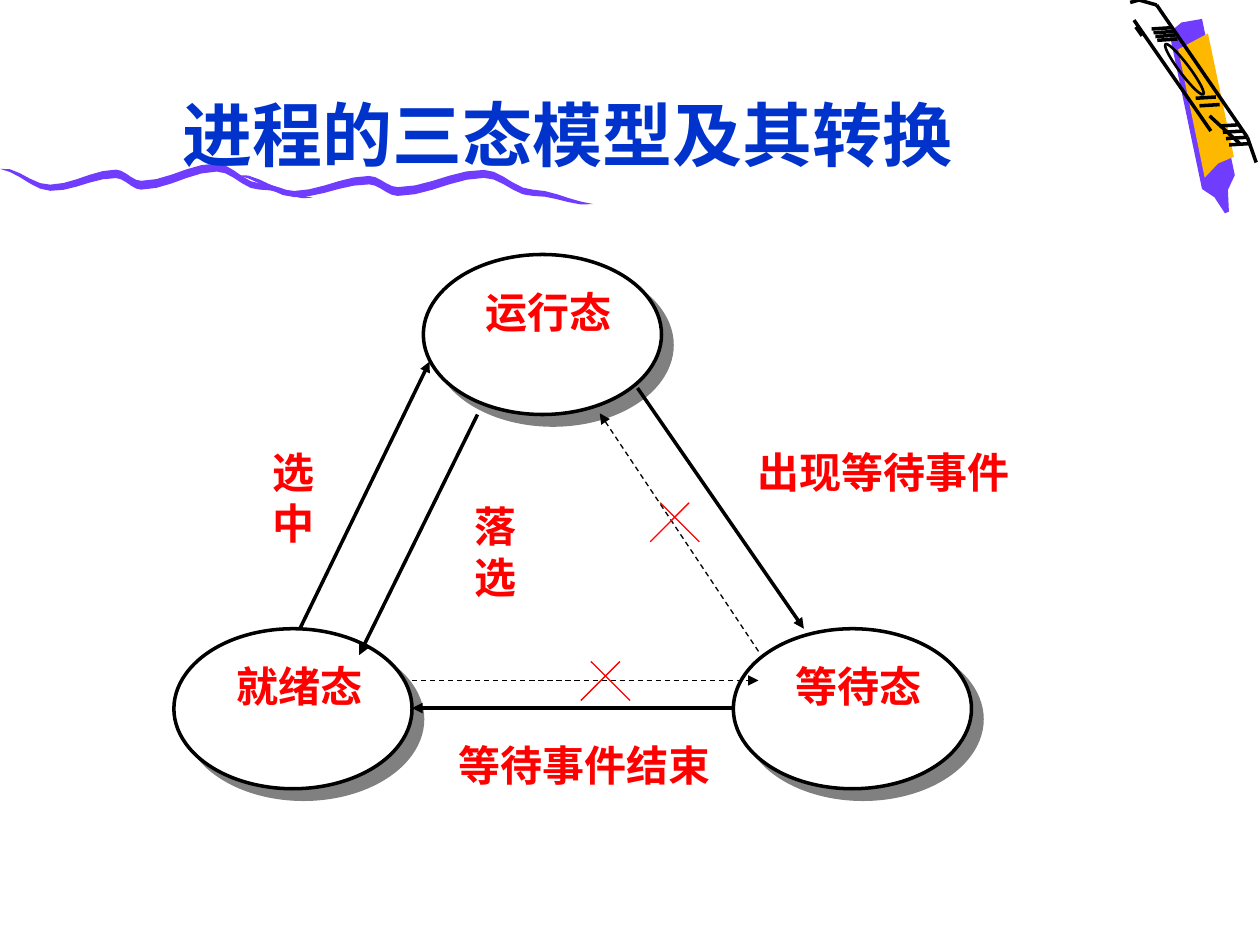
from math import cos, pi, sin

from lxml import etree
from pptx import Presentation
from pptx.dml.color import RGBColor
from pptx.enum.dml import MSO_LINE
from pptx.enum.shapes import MSO_CONNECTOR, MSO_SHAPE
from pptx.enum.text import MSO_ANCHOR, PP_ALIGN
from pptx.oxml.ns import qn
from pptx.util import Inches, Pt

STRAIGHT = MSO_CONNECTOR.STRAIGHT
OVAL, RECTANGLE = MSO_SHAPE.OVAL, MSO_SHAPE.RECTANGLE
TOP, BOTTOM = MSO_ANCHOR.TOP, MSO_ANCHOR.BOTTOM
CENTER = PP_ALIGN.CENTER
DASH = MSO_LINE.DASH

THEME = {
    "white": RGBColor(0xFF, 0xFF, 0xFF),
    "black": RGBColor(0, 0, 0),
    "purple": RGBColor(0x70, 0x3D, 0xFF),
    "amber": RGBColor(0xFF, 0xB8, 0x00),
    "blue": RGBColor(0x00, 0x33, 0xCC),
    "red": RGBColor(0xFF, 0, 0),
    "shadow": "808080",
    "title": {"name": "Comic Neue", "size": Pt(40), "bold": True},
    "label": {"name": "Noto Sans CJK SC", "size": Pt(24), "bold": True},
}

presentation = Presentation()
presentation.slide_width = Inches(10)
presentation.slide_height = Inches(7.5)
slide = presentation.slides.add_slide(presentation.slide_layouts[6])


def add_line(start, end, color, width, dash=None, arrow=False):
    connector = slide.shapes.add_connector(STRAIGHT, *map(Inches, (*start, *end)))
    connector.line.color.rgb = color
    connector.line.width = Pt(width)
    if dash:
        connector.line.dash_style = dash
    if arrow:
        etree.SubElement(connector.line._get_or_add_ln(), qn("a:tailEnd"), type="triangle")
    etree.SubElement(connector._element.spPr, qn("a:effectLst"))


def write_text(shape, text, font_values, color, frame_values):
    frame = shape.text_frame
    for name, value in frame_values.items():
        setattr(frame, name, value)
    paragraph = frame.paragraphs[0]
    paragraph.alignment = CENTER
    run = paragraph.add_run()
    run.text = text
    for name, value in font_values.items():
        setattr(run.font, name, value)
    run.font.color.rgb = color
    etree.SubElement(run._r.get_or_add_rPr(), qn("a:ea"), typeface=font_values["name"])
    return paragraph


wave_turns = [(0, 1.34), (0.4, 1.49), (0.92, 1.38), (1.12, 1.47),
              (1.72, 1.33), (2.06, 1.48), (2.48, 1.57)]
wave_length, wave_thickness, steps_per_turn = 2.48, 0.07, 5
centre_line = []
for (x1, y1), (x2, y2) in zip(wave_turns, wave_turns[1:]):
    for step in range(steps_per_turn):
        progress = step / steps_per_turn
        ease = (1 - cos(pi * progress)) / 2
        centre_line.append((x1 + (x2 - x1) * progress, y1 + (y2 - y1) * ease))
centre_line.append(wave_turns[-1])
edges = []
for side in (-1, 1):
    edges.append([(x, y + side * wave_thickness / 2 * sin(pi * x / wave_length) ** 0.5
                   if 0 < x < wave_length else y) for x, y in centre_line])
wave = edges[0] + edges[1][::-1]
stretched_wave = [(1.88 + 1.14 * x, y + 0.05) for x, y in wave]

pencil_corner, pencil_across, pencil_along = (9.28, 0.26), (0.26, -0.11), (0.26, 1.24)
pencil_body = [(0, 0), (0, 1), (0.3, 1.08), (0.5, 1.2), (0.62, 1.2),
               (0.72, 1.07), (1, 1), (1, 0), (0.4, -0.03)]
pencil_face = [(0.15, 0.12), (0.14, 0.94), (0.6, 0.89), (1.08, 0.89), (1.08, 0.1)]
pencil_parts = [
    [tuple(corner + across * u + along * v for corner, across, along
           in zip(pencil_corner, pencil_across, pencil_along)) for u, v in part]
    for part in (pencil_body, pencil_face)
]

fills = ["purple", "amber", "purple", "purple"]
for points, fill in zip(pencil_parts + [wave, stretched_wave], fills):
    corners = [(Inches(x), Inches(y)) for x, y in points]
    builder = slide.shapes.build_freeform(*corners[0])
    builder.add_line_segments(corners[1:], close=True)
    outline = builder.convert_to_shape()
    outline.shadow.inherit = False
    outline.fill.solid()
    outline.fill.fore_color.rgb = THEME[fill]
    outline.line.fill.background()

ink_edge = [(8.97, 0.02), (9.04, 0), (9.18, 0.04), (9.9, 1.09), (9.97, 1.29)]
ink_lines = list(zip(ink_edge, ink_edge[1:]))
ink_lines += [((9, 0.16), (9.61, 1.04)), ((9.6, 0.92), (9.84, 1.14))]
hatch_groups = [((9.14, 0.23), 0.03, 4), ((9.49, 0.78), 0.06, 2), ((9.68, 1), 0.05, 4)]
for (left, top), gap, count in hatch_groups:
    for row in range(count):
        x, y = left + row * gap / 2, top + row * gap
        ink_lines.append(((x, y), (x + 0.16, y - 0.01)))
for start, end in ink_lines:
    add_line(start, end, THEME["black"], 2)
add_line((9.02, 0.21), (9.07, 0.28), THEME["black"], 3)

loop = slide.shapes.add_shape(OVAL, Inches(9.15), Inches(0.51), Inches(0.5), Inches(0.08))
loop.rotation = 53
loop.shadow.inherit = False
loop.fill.background()
loop.line.color.rgb = THEME["black"]
loop.line.width = Pt(1.5)

title = slide.shapes.add_textbox(Inches(0.75), Inches(0.52), Inches(7.51), Inches(0.92))
write_text(title, "进程的三态模型及其转换", THEME["title"], THEME["blue"],
           {"word_wrap": True, "vertical_anchor": BOTTOM})

states = {"运行态": (3.36, 2.02), "就绪态": (1.38, 4.99), "等待态": (5.82, 4.99)}
running, ready, waiting = states
state_width, state_height = 1.89, 1.27
for left, top in states.values():
    oval = slide.shapes.add_shape(OVAL, *map(Inches, (left, top, state_width, state_height)))
    oval.shadow.inherit = False
    oval.fill.solid()
    oval.fill.fore_color.rgb = THEME["white"]
    oval.line.color.rgb = THEME["black"]
    oval.line.width = Pt(2)
    effects = oval._element.spPr.find(qn("a:effectLst"))
    shadow = etree.SubElement(effects, qn("a:outerShdw"), dist=str(Pt(8.5)), dir="2700000",
                              algn="ctr", rotWithShape="0")
    etree.SubElement(shadow, qn("a:srgbClr"), val=THEME["shadow"])

allowed = {"color": THEME["black"], "width": 2, "arrow": True}
forbidden = {"color": THEME["black"], "width": 0.75, "arrow": True, "dash": DASH}
transitions = [
    (ready, (1, 0), running, (0.05, 0.85), allowed),
    (running, (0.43, state_height), ready, (1.47, 0.21), allowed),
    (running, (1.7, 1.06), waiting, (0.56, 0), allowed),
    (waiting, (0, 0.63), ready, (state_width, 0.63), allowed),
    (waiting, (0.2, 0.18), running, (1.4, 1.26), forbidden),
    (ready, (state_width, 0.41), waiting, (0.2, 0.41), forbidden),
]
for source, exit_offset, target, entry_offset, style in transitions:
    start = map(sum, zip(states[source], exit_offset))
    end = map(sum, zip(states[target], entry_offset))
    add_line(start, end, **style)

labels = [(name, left + 0.43, top + 0.21, 1.13, 0.85) for name, (left, top) in states.items()]
labels += [("选中", 2, 3.5, 0.66, 0.85), ("落选", 3.6, 3.93, 0.66, 0.85),
           ("出现等待事件", 5.97, 3.5, 2.08, 0.6), ("等待事件结束", 3.6, 5.83, 2.08, 0.6)]
label_frame = {"word_wrap": True, "vertical_anchor": TOP, "margin_left": 0,
               "margin_top": Inches(0.04), "margin_right": 0, "margin_bottom": 0}
for text, *box in labels:
    label = slide.shapes.add_shape(RECTANGLE, *map(Inches, box))
    label.shadow.inherit = False
    label.fill.solid()
    label.fill.fore_color.rgb = THEME["white"]
    label.line.fill.background()
    paragraph = write_text(label, text, THEME["label"], THEME["red"], label_frame)
    paragraph.line_spacing = Pt(29)

cross_size, cross_shift = 0.31, 0.08
for left, top in [(5.16, 3.99), (4.61, 5.25)]:
    right, bottom = left + cross_size, top + cross_size
    add_line((right, top), (left, bottom), THEME["red"], 0.75)
    add_line((left + cross_shift, top), (right + cross_shift, bottom), THEME["red"], 0.75)

presentation.save("out.pptx")
